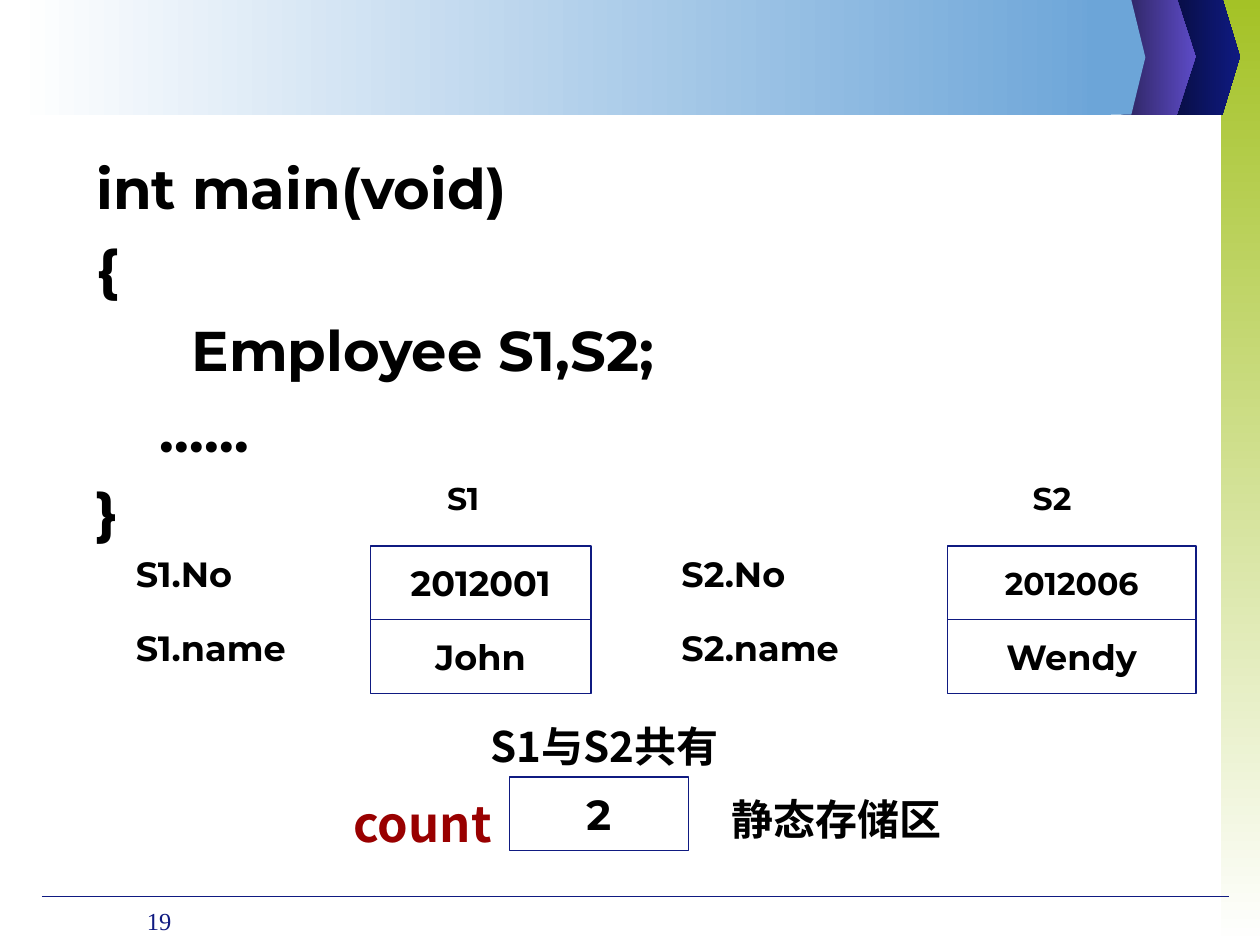
from lxml import etree
from pptx import Presentation
from pptx import util as u
from pptx.dml import color
from pptx.enum import shapes as sh, text as tx
from pptx.oxml import ns

Pt = u.Pt
NAVY, SKY, BLACK = "0F1A81", "6CA5D8", "000000"
FONT, HAN = "Montserrat", "Noto Sans CJK SC"
CENTER, RIGHT = tx.PP_ALIGN.CENTER, tx.PP_ALIGN.RIGHT
CODE = ["int main(void)", "{", "      Employee S1,S2;", "    ……", "}"]


def rgb(code):
    return color.RGBColor.from_string(code)


def paint(shape, tones, angle=0):
    shape.shadow.inherit = False
    shape.line.fill.background()
    if len(tones) == 1:
        shape.fill.solid()
        shape.fill.fore_color.rgb = rgb(tones[0])
        return
    shape.fill.gradient()
    shape.fill.gradient_angle = angle
    for stop, tone in zip(shape.fill.gradient_stops, tones):
        stop.color.rgb = rgb(tone)


def bar(slide, place, tones, angle=0):
    shape = slide.shapes.add_shape(sh.MSO_SHAPE.RECTANGLE, *map(Pt, place))
    paint(shape, tones, angle)


def arrow(slide, left, top, neck, tip, tones):
    low = 65.5
    mid = (top + low) / 2
    dots = [(neck, top), (tip, mid), (neck, low), (left, low)]
    path = slide.shapes.build_freeform(Pt(left), Pt(top))
    path.add_line_segments([(Pt(x), Pt(y)) for x, y in dots], close=True)
    paint(path.convert_to_shape(), tones)


def rule(slide, left, right, y):
    line = slide.shapes.add_connector(
        sh.MSO_CONNECTOR.STRAIGHT, Pt(left), Pt(y), Pt(right), Pt(y))
    line.line.color.rgb = rgb(NAVY)
    line.line.width = Pt(0.75)
    etree.SubElement(line._element.spPr, ns.qn("a:effectLst"))


def write(para, words, size, face=FONT, tone=BLACK, bold=True):
    run = para.add_run()
    run.text = words
    font = run.font
    font.size, font.name, font.bold = Pt(size), face, bold
    font.color.rgb = rgb(tone)
    east = etree.SubElement(run._r.get_or_add_rPr(), ns.qn("a:ea"))
    east.set("typeface", face)


def label(slide, place, words, size, align=None, **style):
    frame = slide.shapes.add_textbox(*map(Pt, place)).text_frame
    frame.word_wrap = True
    para = frame.paragraphs[0]
    para.alignment = align
    write(para, words, size, **style)


def listing(slide, place, lines):
    frame = slide.shapes.add_textbox(*map(Pt, place)).text_frame
    frame.word_wrap = True
    for num, words in enumerate(lines):
        para = frame.add_paragraph() if num else frame.paragraphs[0]
        if num:
            para.space_before = Pt(8)
        write(para, words, 32)


def cell(slide, place, words, size):
    box = slide.shapes.add_shape(sh.MSO_SHAPE.RECTANGLE, *map(Pt, place))
    box.shadow.inherit = False
    box.fill.background()
    box.line.color.rgb = rgb(NAVY)
    box.line.width = Pt(0.75)
    frame = box.text_frame
    frame.word_wrap = False
    frame.vertical_anchor = tx.MSO_ANCHOR.MIDDLE
    frame.paragraphs[0].alignment = CENTER
    write(frame.paragraphs[0], words, size)


def record(slide, name, side, left, width, head, rows):
    label(slide, (head, 270, 70, 29), name, 18)
    for num, (field, value, size) in enumerate(rows):
        top = 312 + 42.2 * num
        label(slide, (side, top, 140, 32), f"{name}.{field}", 20)
        cell(slide, (left, top, width, 42), value, size)


def main():
    deck = Presentation()
    deck.slide_width, deck.slide_height = Pt(720), Pt(540)
    slide = deck.slides.add_slide(deck.slide_layouts[6])

    bar(slide, (697.7, 0, 22.3, 540), ["A4C226", "FFFFFF"], 270)
    arrow(slide, 666, -0.7, 698.5, 708.5, ["070C3C", NAVY])
    arrow(slide, 640.8, -0.7, 672.5, 683.2, ["2B235C", "5D4BC7"])
    rule(slide, 24, 702, 512.5)
    bar(slide, (8.6, 0, 626.4, 65.5), ["FFFFFF", SKY])
    arrow(slide, 621.4, 0, 646.5, 654.5, [SKY])
    label(slide, (48, 514, 57, 26), "19", 14, RIGHT,
          face="Times New Roman", tone=NAVY, bold=False)

    listing(slide, (48, 84, 624, 407), CODE)
    record(slide, "S1", 70.6, 211.7, 126, 248.4,
           [("No", "2012001", 20), ("name", "John", 20)])
    record(slide, "S2", 382.3, 541.4, 142, 583,
           [("No", "2012006", 18), ("name", "Wendy", 20)])

    cell(slide, (291, 444, 102.3, 42), "2", 24)
    label(slide, (195, 450, 108, 41), "count", 28, face=HAN, tone="990000")
    label(slide, (411, 450, 138, 36), "静态存储区", 24, face=HAN)
    label(slide, (273, 408, 180, 36), "S1与S2共有", 24, face=HAN)
    deck.save("out.pptx")


if __name__ == "__main__":
    main()
